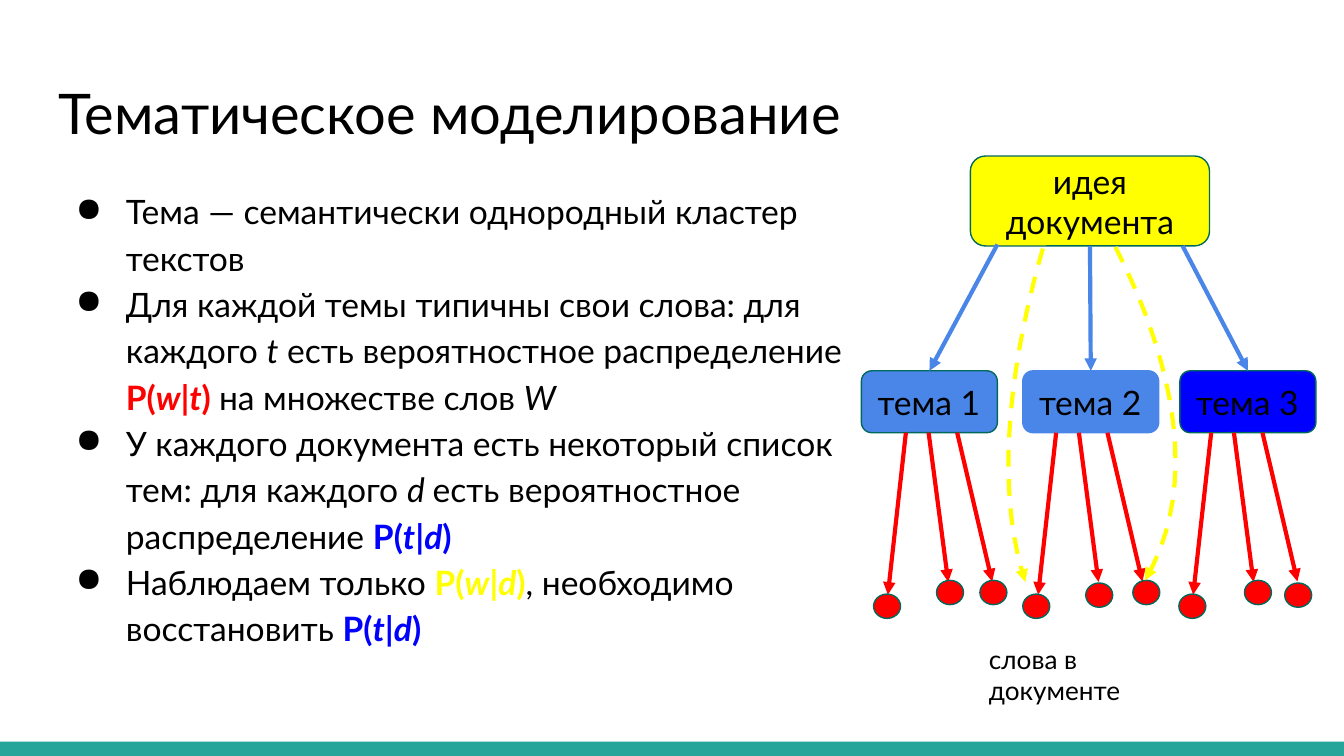
from lxml.etree import SubElement
from pptx import Presentation
from pptx.dml.color import RGBColor
from pptx.enum.dml import MSO_LINE_DASH_STYLE as Dash
from pptx.enum.shapes import MSO_CONNECTOR as Connector, MSO_SHAPE as Shape
from pptx.enum.text import MSO_ANCHOR as Anchor, PP_ALIGN as Align
from pptx.oxml.ns import qn
from pptx.util import Cm, Pt

FONT = "Lato"
BLACK, RED, BLUE, YELLOW = "000000", "FF0000", "0000FF", "FFFF00"
SKY, TEAL, GREEN = "4A86E8", "26A69A", "00695C"

# Content: runs are (text, style letters, colour), b = bold, i = italic
TITLE = "Тематическое моделирование"
BULLETS = [
    [("Тема — семантически однородный кластер текстов", "", BLACK)],
    [("Для каждой темы типичны свои слова: для каждого ", "", BLACK), ("t", "i", BLACK),
     (" есть вероятностное распределение ", "", BLACK), ("P(", "b", RED), ("w|t", "bi", RED),
     (") ", "b", RED), ("на множестве слов ", "", BLACK), ("W", "i", BLACK)],
    [("У каждого документа есть некоторый список тем: для каждого ", "", BLACK),
     ("d ", "i", BLACK), ("есть вероятностное распределение ", "", BLACK),
     ("P(", "b", BLUE), ("t|d", "bi", BLUE), (")", "b", BLUE)],
    [("Наблюдаем только ", "", BLACK), ("P(", "b", YELLOW), ("w", "bi", YELLOW),
     ("|", "b", YELLOW), ("d", "bi", YELLOW), (")", "b", YELLOW),
     (", необходимо восстановить ", "", BLACK),
     ("P(", "b", BLUE), ("t|d", "bi", BLUE), (")", "b", BLUE)],
]
IDEA = "идея документа"
CAPTION = "слова в документе"

# Diagram, in centimetres
IDEA_BOX = (18.34, 2.95, 4.52, 1.7)
THEME_TOP, THEME_WIDTH, THEME_HEIGHT = 7.01, 2.57, 1.17
# name, left, fill, outline, start of the arrow from the idea, left of the word arrows
THEMES = [
    ("тема 1", 16.28, SKY, GREEN, (18.85, 4.62), 17.12),
    ("тема 2", 19.33, SKY, SKY, None, 19.96),
    ("тема 3", 22.3, BLUE, GREEN, (22.35, 4.65), 22.89),
]
# start offset, end offset, end height
WORD_ARROWS = [(0, -0.34, 11.24), (0.43, 0.8, 11), (0.97, 1.63, 10.99)]
WORD_SIZE = (0.51, 0.46)
WORDS = [(16.51, 11.23), (17.7, 10.97), (18.52, 10.97),
         (19.33, 11.23), (20.52, 11.02), (21.41, 10.97),
         (22.28, 11.23), (23.52, 10.97), (24.28, 11.02)]
# start, two control points, end
CURVES = [
    [(19.71, 4.7), (19.15, 6.63), (18.75, 9.12), (19.38, 11)],
    [(21.08, 4.67), (22.07, 6.6), (22.76, 9.07), (21.64, 10.97)],
]
CURVE_STEPS = 20


def color(value):
    return RGBColor.from_string(value)


def style_run(run, size, value=BLACK, style=""):
    font = run.font
    font.name, font.size = FONT, Pt(size)
    font.bold, font.italic = "b" in style, "i" in style
    font.color.rgb = color(value)


def set_margins(text_frame):
    text_frame.word_wrap = True
    text_frame.margin_left = text_frame.margin_right = Cm(0.25)
    text_frame.margin_top = text_frame.margin_bottom = Cm(0.25)


def add_text(slide, box, text="", size=18):
    text_frame = slide.shapes.add_textbox(*map(Cm, box)).text_frame
    set_margins(text_frame)
    if text:
        text_frame.text = text
        style_run(text_frame.paragraphs[0].runs[0], size)
    return text_frame


def add_box(slide, kind, box, fill, outline=None, text="", align=Align.LEFT):
    shape = slide.shapes.add_shape(kind, *map(Cm, box))
    shape.shadow.inherit = False
    shape.fill.solid()
    shape.fill.fore_color.rgb = color(fill)
    if outline:
        shape.line.color.rgb = color(outline)
        shape.line.width = Pt(0.75)
    else:
        shape.line.fill.background()
    if text:
        text_frame = shape.text_frame
        set_margins(text_frame)
        text_frame.vertical_anchor = Anchor.MIDDLE
        text_frame.text = text
        paragraph = text_frame.paragraphs[0]
        paragraph.alignment = align
        style_run(paragraph.runs[0], 18)
    return shape


def style_arrow(line, value):
    line.color.rgb = color(value)
    line.width = Pt(2.25)
    SubElement(line._get_or_add_ln(), qn("a:tailEnd"), type="triangle")


def add_arrow(slide, start, end, value):
    arrow = slide.shapes.add_connector(Connector.STRAIGHT, *map(Cm, (*start, *end)))
    style_arrow(arrow.line, value)
    SubElement(arrow._element.spPr, qn("a:effectLst"))
    return arrow


def curve_point(points, t):
    weights = ((1 - t) ** 3, 3 * t * (1 - t) ** 2, 3 * t ** 2 * (1 - t), t ** 3)
    return tuple(Cm(sum(w * point[axis] for w, point in zip(weights, points)))
                 for axis in (0, 1))


def add_curve(slide, points):
    first, *rest = [curve_point(points, step / CURVE_STEPS) for step in range(CURVE_STEPS + 1)]
    builder = slide.shapes.build_freeform(*first)
    builder.add_line_segments(rest, close=False)
    curve = builder.convert_to_shape()
    curve.shadow.inherit = False
    curve.fill.background()
    curve.line.dash_style = Dash.DASH
    style_arrow(curve.line, YELLOW)


def add_bullets(slide):
    text_frame = add_text(slide, (0.86, 3.25, 15.7, 9.45))
    for index, runs in enumerate(BULLETS):
        paragraph = text_frame.add_paragraph() if index else text_frame.paragraphs[0]
        paragraph.line_spacing = 1.15
        properties = paragraph._p.get_or_add_pPr()
        properties.set("marL", str(Cm(1.27)))
        properties.set("indent", str(-Cm(0.95)))
        bullet_color = SubElement(properties, qn("a:buClr"))
        SubElement(bullet_color, qn("a:srgbClr"), val=BLACK)
        SubElement(properties, qn("a:buChar"), char="●")
        for text, style, value in runs:
            run = paragraph.add_run()
            run.text = text
            style_run(run, 18, value, style)


def add_diagram(slide):
    idea = add_box(slide, Shape.ROUNDED_RECTANGLE, IDEA_BOX, YELLOW, GREEN, IDEA, Align.CENTER)
    idea_bottom = (IDEA_BOX[0] + IDEA_BOX[2] / 2, IDEA_BOX[1] + IDEA_BOX[3])
    theme_bottom = THEME_TOP + THEME_HEIGHT

    # Themes with arrows from the idea and to the words
    for name, left, fill, outline, start, word_left in THEMES:
        theme = add_box(slide, Shape.ROUNDED_RECTANGLE,
                        (left, THEME_TOP, THEME_WIDTH, THEME_HEIGHT), fill, outline, name)
        top_middle = (left + THEME_WIDTH / 2, THEME_TOP)
        arrow = add_arrow(slide, start or idea_bottom, top_middle, SKY)
        if start is None:
            arrow.begin_connect(idea, 2)
        arrow.end_connect(theme, 0)
        for start_offset, end_offset, end_y in WORD_ARROWS:
            add_arrow(slide, (word_left + start_offset, theme_bottom),
                      (word_left + end_offset, end_y), RED)

    # Words
    for position in WORDS:
        add_box(slide, Shape.OVAL, (*position, *WORD_SIZE), RED, GREEN)
    add_text(slide, (18.44, 11.91, 4.65, 1.04), CAPTION, 14)

    # Dashed links from the idea to the words
    for points in CURVES:
        add_curve(slide, points)


def main():
    presentation = Presentation()
    presentation.slide_width, presentation.slide_height = Cm(25.4), Cm(14.29)
    slide = presentation.slides.add_slide(presentation.slide_layouts[6])
    add_box(slide, Shape.RECTANGLE, (0, 14.02, 25.4, 0.27), TEAL)
    add_text(slide, (0.86, 1.24, 23.67, 1.7), TITLE, 30)
    add_bullets(slide)
    add_diagram(slide)
    presentation.save("out.pptx")


if __name__ == "__main__":
    main()
